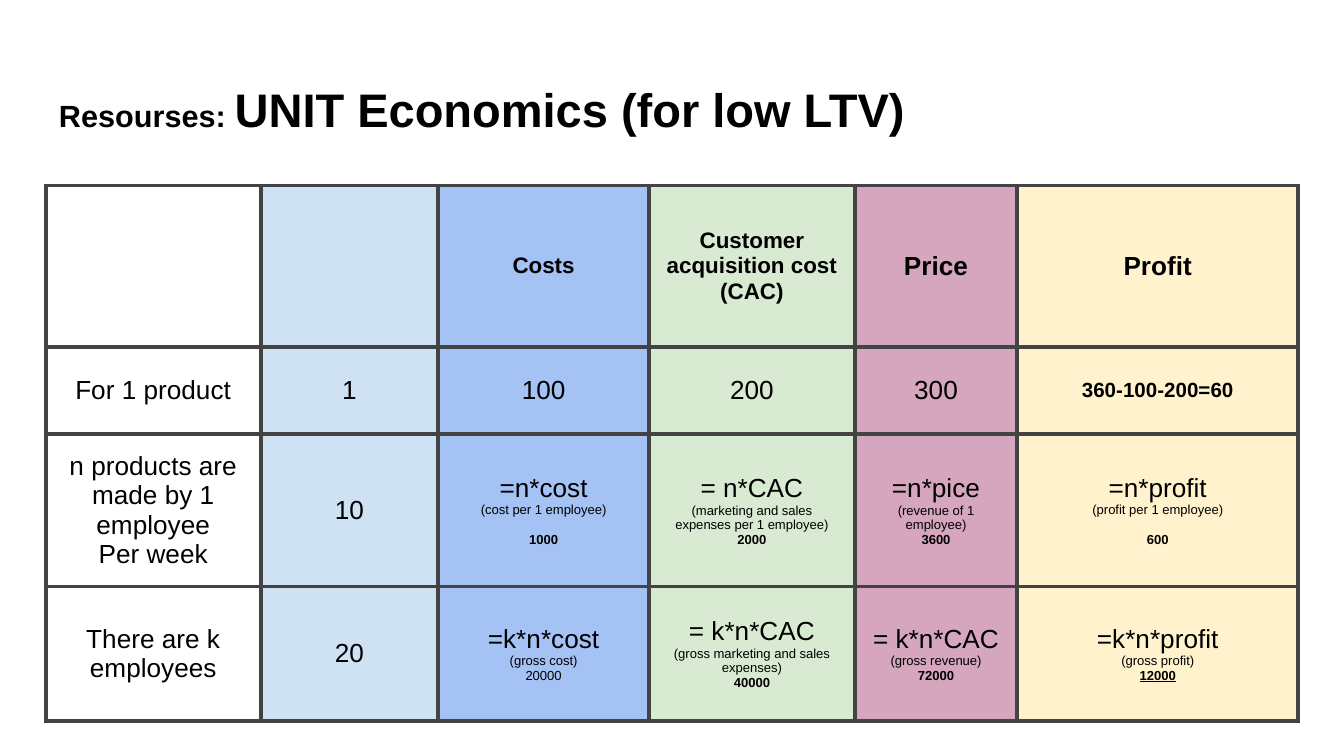
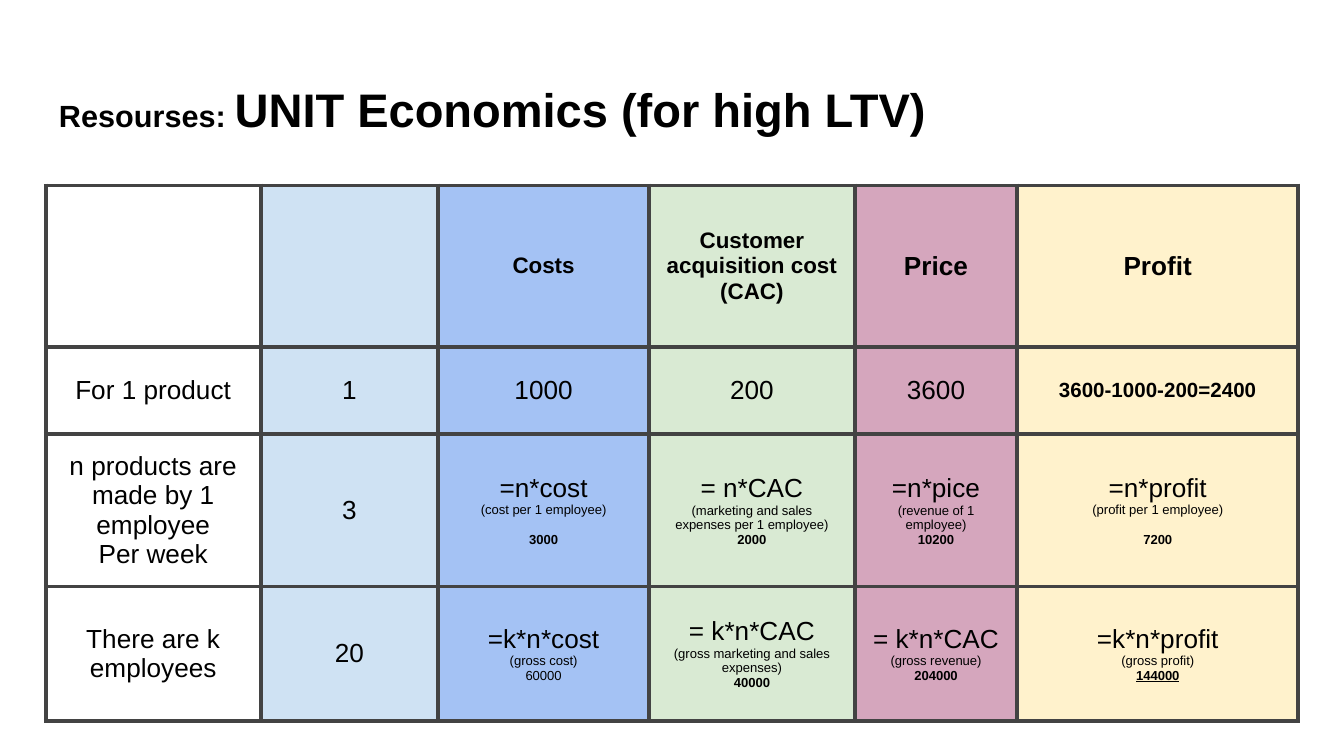
from pptx import Presentation
from pptx.dml.color import RGBColor
from pptx.enum.text import MSO_ANCHOR, PP_ALIGN
from pptx.oxml.ns import qn
from pptx.util import Pt
from lxml import etree

PX = 4572
FONT = "Arial"
BLACK = RGBColor(0x00, 0x00, 0x00)
BORDER = RGBColor(0x43, 0x43, 0x43)
BLUE_PALE = RGBColor(0xCF, 0xE2, 0xF3)
BLUE = RGBColor(0xA4, 0xC2, 0xF4)
GREEN = RGBColor(0xD9, 0xEA, 0xD3)
PINK = RGBColor(0xD5, 0xA6, 0xBD)
YELLOW = RGBColor(0xFF, 0xF2, 0xCC)
CENTER = PP_ALIGN.CENTER
MIDDLE = MSO_ANCHOR.MIDDLE
BOTTOM = MSO_ANCHOR.BOTTOM

INSET = 20 * PX
BORDER_WIDTH = Pt(2.25)
BODY_SIZE = 14
NOTE_SIZE = 7
COLUMN_WIDTHS = [320, 264, 314, 306, 242, 418]
ROW_HEIGHTS = [240, 130, 200, 200]
COLUMN_FILLS = [None, BLUE_PALE, BLUE, GREEN, PINK, YELLOW]

HEADINGS = [("Costs", 12), ("Customer acquisition cost (CAC)", 12), ("Price", 14), ("Profit", 14)]
ROW_LABELS = ["For 1 product", "n products are made by 1 employee\nPer week", "There are k employees"]
EMPLOYEE_FORMULAS = [
    ("=n*cost\n", "(cost per 1 employee)", {"gap": 8}),
    ("= n*CAC\n", "(marketing and sales expenses per 1 employee)", {}),
    ("=n*pice", "(revenue of 1 employee)", {}),
    ("=n*profit", "(profit per 1 employee)", {"gap": 8}),
]
GROSS_FORMULAS = [
    ("=k*n*cost", "(gross cost)", {"bold": False}),
    ("= k*n*CAC", "(gross marketing and sales expenses)", {}),
    ("= k*n*CAC", "(gross revenue)", {}),
    ("=k*n*profit", "(gross profit)", {"underline": True}),
]

SCENARIOS = [
    {
        "ltv": "low",
        "quantities": ["1", "10", "20"],
        "product": ["100", "200", "300", "360-100-200=60"],
        "employee": ["1000", "2000", "3600", "600"],
        "gross": ["20000", "40000", "72000", "12000"],
    },
    {
        "ltv": "high",
        "quantities": ["1", "3", "20"],
        "product": ["1000", "200", "3600", "3600-1000-200=2400"],
        "employee": ["3000", "2000", "10200", "7200"],
        "gross": ["60000", "40000", "204000", "144000"],
    },
]


def write(frame, text, size=BODY_SIZE, bold=False, underline=None, align=CENTER, gap=0, same_paragraph=False):
    paragraph = frame.paragraphs[-1]
    if paragraph.runs and not same_paragraph:
        paragraph = frame.add_paragraph()
    paragraph.alignment = align
    if gap:
        paragraph.space_before = Pt(gap)
    for index, line in enumerate(text.split("\n")):
        if index:
            paragraph.add_line_break()
        if line:
            run = paragraph.add_run()
            run.text = line
            run.font.name = FONT
            run.font.size = Pt(size)
            run.font.bold = bold
            run.font.underline = underline
            run.font.color.rgb = BLACK


def style_cell(cell, fill):
    cell.vertical_anchor = MIDDLE
    cell.margin_left = cell.margin_right = cell.margin_top = cell.margin_bottom = INSET
    properties = cell._tc.get_or_add_tcPr()
    for side in ("a:lnL", "a:lnR", "a:lnT", "a:lnB"):
        line = etree.SubElement(properties, qn(side), w=str(BORDER_WIDTH))
        solid = etree.SubElement(line, qn("a:solidFill"))
        etree.SubElement(solid, qn("a:srgbClr"), val=str(BORDER))
    if fill is None:
        cell.fill.background()
    else:
        cell.fill.solid()
        cell.fill.fore_color.rgb = fill


presentation = Presentation()
presentation.slide_width = 2000 * PX
presentation.slide_height = 1125 * PX

for scenario in SCENARIOS:
    slide = presentation.slides.add_slide(presentation.slide_layouts[6])

    title = slide.shapes.add_textbox(68 * PX, 98 * PX, 1864 * PX, 126 * PX).text_frame
    title.word_wrap = True
    title.vertical_anchor = BOTTOM
    title.margin_left = title.margin_right = title.margin_top = title.margin_bottom = INSET
    write(title, "Resourses: ", size=16.4, bold=True, align=None)
    write(title, f"UNIT Economics (for {scenario['ltv']} LTV)", size=25.2, bold=True, align=None,
          same_paragraph=True)

    table = slide.shapes.add_table(
        len(ROW_HEIGHTS), len(COLUMN_WIDTHS), 68 * PX, 276 * PX,
        sum(COLUMN_WIDTHS) * PX, sum(ROW_HEIGHTS) * PX,
    ).table
    table.first_row = False
    table.horz_banding = False
    for column, width in zip(table.columns, COLUMN_WIDTHS):
        column.width = width * PX
    for row, height in zip(table.rows, ROW_HEIGHTS):
        row.height = height * PX
        for cell, fill in zip(row.cells, COLUMN_FILLS):
            style_cell(cell, fill)

    for row, (label, quantity) in enumerate(zip(ROW_LABELS, scenario["quantities"]), start=1):
        write(table.cell(row, 0).text_frame, label)
        write(table.cell(row, 1).text_frame, quantity)

    for column, (heading, size) in enumerate(HEADINGS, start=2):
        write(table.cell(0, column).text_frame, heading, size=size, bold=True)

    for column, value in enumerate(scenario["product"], start=2):
        is_profit = column == len(COLUMN_WIDTHS) - 1
        write(table.cell(1, column).text_frame, value, size=11 if is_profit else BODY_SIZE, bold=is_profit)

    formula_rows = [(EMPLOYEE_FORMULAS, scenario["employee"]), (GROSS_FORMULAS, scenario["gross"])]
    for row, (formulas, values) in enumerate(formula_rows, start=2):
        for column, ((formula, note, value_format), value) in enumerate(zip(formulas, values), start=2):
            frame = table.cell(row, column).text_frame
            write(frame, formula)
            write(frame, note, size=NOTE_SIZE, same_paragraph=formula.endswith("\n"))
            write(frame, value, **{"size": NOTE_SIZE, "bold": True, **value_format})

presentation.save("out.pptx")
